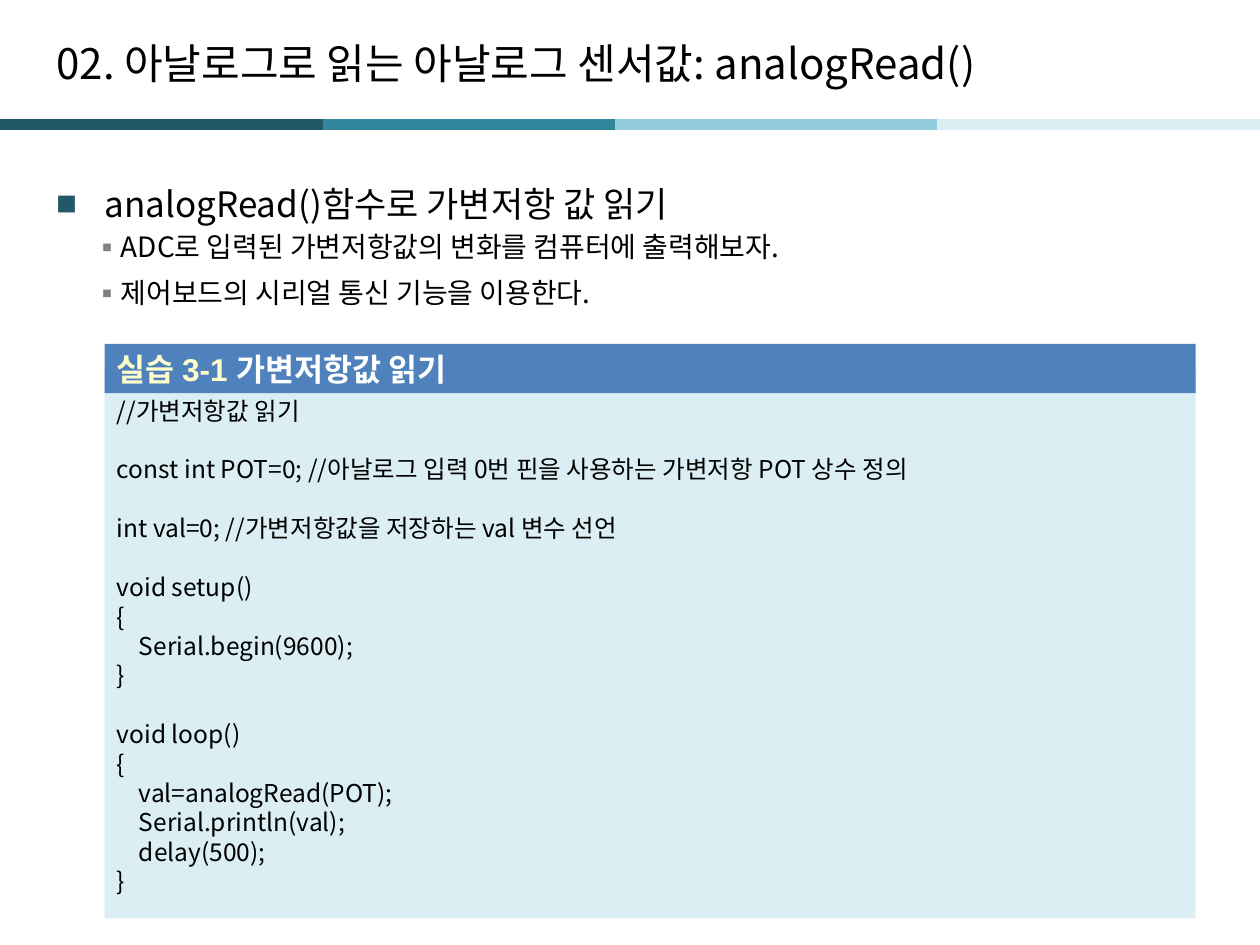
from dataclasses import dataclass

from lxml import etree
from pptx import Presentation
from pptx import util as u
from pptx.dml.color import RGBColor
from pptx.enum import shapes, text
from pptx.oxml import ns

SANS = "Noto Sans CJK KR"
BLACK = RGBColor(0, 0, 0)
WHITE = RGBColor(0xFF, 0xFF, 0xFF)
CREAM = RGBColor(0xFF, 0xFF, 0xCC)
BLUE = RGBColor(0x4F, 0x81, 0xBD)
GRAY = RGBColor(0x80, 0x80, 0x80)
NAVY = RGBColor(0x21, 0x59, 0x68)
TEAL = RGBColor(0x31, 0x85, 0x9C)
SKY = RGBColor(0x93, 0xCD, 0xDD)
PALE = RGBColor(0xDB, 0xEE, 0xF4)

WIDTH, HEIGHT = 10, 7.5
BAND_Y = 0.99
BAND_STEP = WIDTH * 0.256
LINE_RATIO = 1.2
CODE_SIZE = 14
PANEL_X, PANEL_W = 0.83, 8.66


@dataclass(frozen=True)
class Band:
    start: float
    end: float
    color: RGBColor


@dataclass(frozen=True)
class Bullet:
    words: str
    level: int
    size: float
    mark: str
    mark_percent: int
    color: RGBColor
    margin: float
    hang: float
    spacing: float
    before: float
    after: float


BANDS = [
    Band(2.32, 4.88, TEAL),
    Band(4.88, 7.44, SKY),
    Band(7.44, WIDTH, PALE),
    Band(0, BAND_STEP, NAVY),
]


def sub_bullet(words: str) -> Bullet:
    return Bullet(words, 1, 16, "▪", 100, GRAY, 0.49, 0.2, 1, 3.2, 4)


BULLETS = [
    Bullet("analogRead()함수로 가변저항 값 읽기", 0, 20, "■", 60, NAVY,
           0.38, 0.38, 1.5, 0, 0),
    sub_bullet("ADC로 입력된 가변저항값의 변화를 컴퓨터에 출력해보자."),
    sub_bullet("제어보드의 시리얼 통신 기능을 이용한다."),
]

CODE_BLOCKS = [
    ["//가변저항값 읽기"],
    ["const int POT=0; //아날로그 입력 0번 핀을 사용하는 가변저항 POT 상수 정의"],
    ["int val=0; //가변저항값을 저장하는 val 변수 선언"],
    ["void setup()", "{", "    Serial.begin(9600);", "}"],
    [
        "void loop()",
        "{",
        "    val=analogRead(POT);",
        "    Serial.println(val);",
        "    delay(500);",
        "}",
    ],
]


def add_run(p, words: str, size: float, color: RGBColor = BLACK,
            font: str = SANS, bold: bool = False) -> None:
    r = p.add_run()
    r.text = words
    r.font.size = u.Pt(size)
    r.font.name = font
    r.font.bold = bold
    r.font.color.rgb = color
    latin = r.font._element.find(ns.qn("a:latin"))
    ea = etree.Element(ns.qn("a:ea"), typeface=SANS)
    latin.addnext(ea)


def next_paragraph(tf, first: bool):
    return tf.paragraphs[0] if first else tf.add_paragraph()


def add_band(s, band: Band) -> None:
    line = s.shapes.add_connector(
        shapes.MSO_CONNECTOR.STRAIGHT,
        u.Inches(band.start), u.Inches(BAND_Y), u.Inches(band.end), u.Inches(BAND_Y))
    line.line.color.rgb = band.color
    line.line.width = u.Pt(6)
    etree.SubElement(line._element.spPr, ns.qn("a:effectLst"))


def add_text_frame(s, x: float, y: float, w: float, h: float,
                   anchor: text.MSO_ANCHOR):
    sp = s.shapes.add_textbox(u.Inches(x), u.Inches(y), u.Inches(w), u.Inches(h))
    tf = sp.text_frame
    tf.word_wrap = True
    tf.vertical_anchor = anchor
    return tf


def add_panel(s, y: float, h: float, fill: RGBColor):
    sp = s.shapes.add_shape(
        shapes.MSO_SHAPE.RECTANGLE,
        u.Inches(PANEL_X), u.Inches(y), u.Inches(PANEL_W), u.Inches(h))
    sp.shadow.inherit = False
    sp.fill.solid()
    sp.fill.fore_color.rgb = fill
    sp.line.fill.background()
    tf = sp.text_frame
    tf.word_wrap = True
    tf.vertical_anchor = text.MSO_ANCHOR.MIDDLE
    return tf


def add_bullet(p, item: Bullet) -> None:
    p.level = item.level
    pPr = p._p.get_or_add_pPr()
    pPr.set("marL", str(u.Inches(item.margin)))
    pPr.set("indent", str(-u.Inches(item.hang)))
    color = etree.SubElement(pPr, ns.qn("a:buClr"))
    etree.SubElement(color, ns.qn("a:srgbClr"), val=str(item.color))
    etree.SubElement(pPr, ns.qn("a:buSzPct"), val=str(item.mark_percent * 1000))
    etree.SubElement(pPr, ns.qn("a:buFont"), typeface=SANS)
    etree.SubElement(pPr, ns.qn("a:buChar"), char=item.mark)
    p.line_spacing = u.Pt(item.size * LINE_RATIO * item.spacing)
    p.space_before = u.Pt(item.before)
    p.space_after = u.Pt(item.after)
    add_run(p, item.words, item.size)


def add_code(tf, blocks: list[list[str]]) -> None:
    pitch = u.Pt(CODE_SIZE * LINE_RATIO)
    for b, block in enumerate(blocks):
        for n, words in enumerate(block):
            p = next_paragraph(tf, b == n == 0)
            p.alignment = text.PP_ALIGN.LEFT
            p.line_spacing = pitch
            p.space_before = pitch if b and not n else u.Pt(0)
            add_run(p, words, CODE_SIZE)


def main() -> None:
    prs = Presentation()
    prs.slide_width, prs.slide_height = u.Inches(WIDTH), u.Inches(HEIGHT)
    s = prs.slides.add_slide(prs.slide_layouts[6])

    for band in BANDS:
        add_band(s, band)

    title = add_text_frame(s, 0.35, 0.2, 9.41, 0.6, text.MSO_ANCHOR.MIDDLE)
    add_run(title.paragraphs[0], "02. 아날로그로 읽는 아날로그 센서값: analogRead()", 24)

    body = add_text_frame(s, 0.35, 1.23, 9.29, 5.91, text.MSO_ANCHOR.TOP)
    for i, item in enumerate(BULLETS):
        add_bullet(next_paragraph(body, i == 0), item)

    add_code(add_panel(s, 2.96, 4.33, PALE), CODE_BLOCKS)

    p = add_panel(s, 2.73, 0.39, BLUE).paragraphs[0]
    p.alignment = text.PP_ALIGN.LEFT
    add_run(p, "실습 3-1 ", 18, CREAM, "Arial", True)
    add_run(p, "가변저항값 읽기", 18, WHITE, "Arial", True)

    prs.save("out.pptx")


if __name__ == "__main__":
    main()
